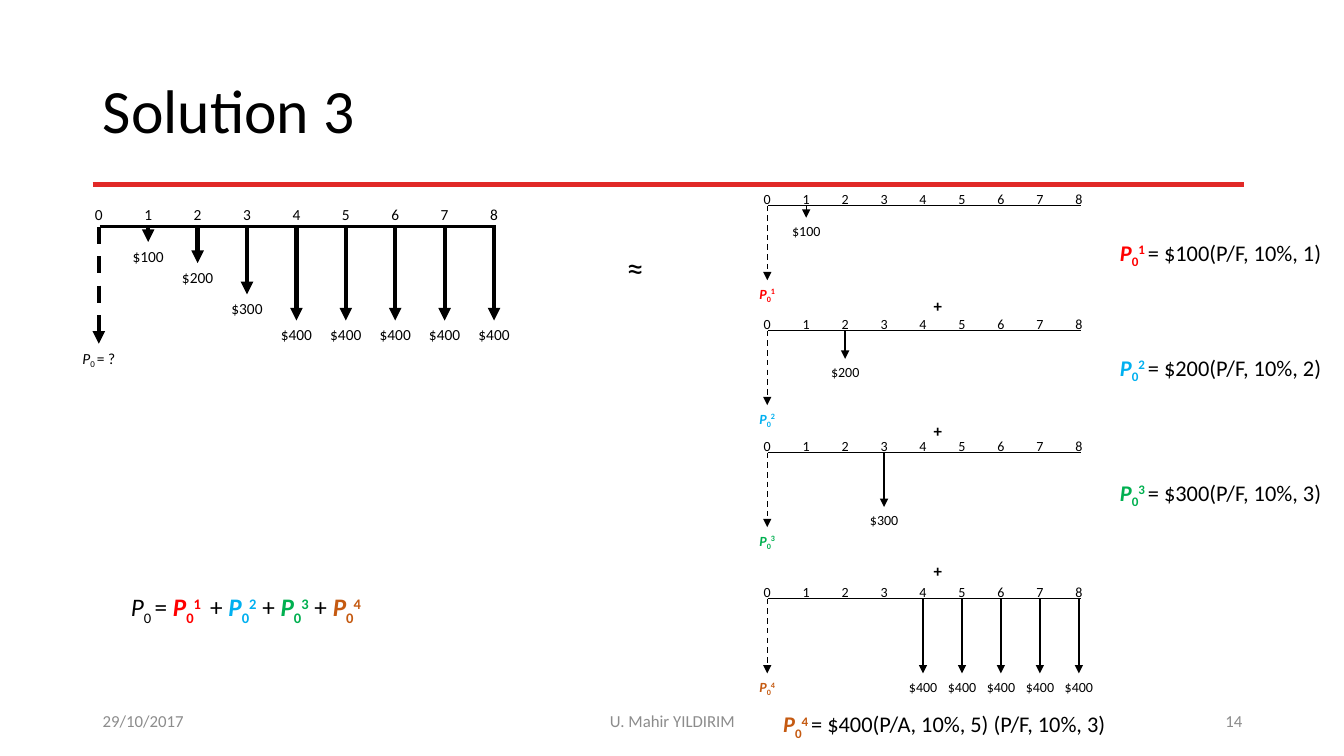
from pptx import Presentation
from pptx.dml.color import RGBColor
from pptx.enum.dml import MSO_LINE
from pptx.enum.shapes import MSO_CONNECTOR
from pptx.enum.text import MSO_ANCHOR, MSO_AUTO_SIZE, PP_ALIGN
from pptx.oxml.ns import qn
from pptx.util import Inches, Pt
from lxml.etree import SubElement
from dataclasses import dataclass

FONT = "Calibri"
BLACK = "000000"
GRAY = "8C8C8C"
RED_RULE = "E12927"
PART_COLORS = ["FF0000", "00B0F0", "00B050", "C55A11"]
PERIODS = 8


@dataclass
class DiagramStyle:
    left: float
    step: float
    text_size: int
    line_width: float
    axis_width: float
    digit_rise: float
    digit_width: float
    digit_height: float
    amount_width: float
    present_width: float
    present_drop: float


MAIN_STYLE = DiagramStyle(0.98, 0.49, 11, 3, 2.25, 0.26, 0.17, 0.29, 0.52, 0.77, 1.16)
PART_STYLE = DiagramStyle(7.61, 3.09 / PERIODS, 10, 1, 1, 0.2, 0.14, 0.28, 0.62, 0.91, 0.74)


def color(hex_string):
    return RGBColor.from_string(hex_string)


def add_run(paragraph, text, size, hex_color=BLACK, bold=False, italic=False, baseline=0):
    run = paragraph.add_run()
    run.text = text
    font = run.font
    font.name, font.size = FONT, Pt(size)
    font.bold, font.italic = bold, italic
    font.color.rgb = color(hex_color)
    if baseline:
        run._r.get_or_add_rPr().set("baseline", str(baseline * 1000))


def add_line(slide, start, end, width, hex_color=BLACK, arrow=False, dashed=False):
    points = [Inches(value) for value in (*start, *end)]
    connector = slide.shapes.add_connector(MSO_CONNECTOR.STRAIGHT, *points)
    connector.line.color.rgb = color(hex_color)
    connector.line.width = Pt(width)
    if dashed:
        connector.line.dash_style = MSO_LINE.DASH
    properties = connector._element.spPr
    if arrow:
        SubElement(properties.find(qn("a:ln")), qn("a:tailEnd"), type="triangle")
    SubElement(properties, qn("a:effectLst"))


def add_text(slide, box, runs, align=PP_ALIGN.LEFT, wrap=True, side_inset=0.1, middle=False):
    """Each run is a tuple of add_run arguments after the paragraph."""
    shape = slide.shapes.add_textbox(*[Inches(value) for value in box])
    frame = shape.text_frame
    frame.word_wrap = wrap
    frame.auto_size = MSO_AUTO_SIZE.NONE if middle else MSO_AUTO_SIZE.SHAPE_TO_FIT_TEXT
    frame.margin_left = frame.margin_right = Inches(side_inset)
    frame.vertical_anchor = MSO_ANCHOR.MIDDLE if middle else MSO_ANCHOR.TOP
    paragraph = frame.paragraphs[0]
    paragraph.alignment = align
    for run in runs:
        add_run(paragraph, *run)


def add_centered(slide, center, top, width, height, runs):
    box = (center - width / 2, top, width, height)
    add_text(slide, box, runs, PP_ALIGN.CENTER, side_inset=0)


def part_symbol(number, size, gap=""):
    """Present worth of one part: P with subscript 0 and its number above."""
    hex_color = PART_COLORS[number - 1]
    return [
        ("P", size, hex_color, True, True),
        ("0", size, hex_color, True, False, -25),
        (f"{number}{gap}", size, hex_color, True, False, 30),
    ]


def total_symbol(size, ending):
    return [
        ("P", size, BLACK, False, True),
        ("0 ", size, BLACK, False, False, -25),
        (ending, size),
    ]


def add_cash_flow(slide, style, axis, flows, present_runs):
    """Flows are tuples of period, amount and arrow length."""
    left, size = style.left, style.text_size
    right = left + PERIODS * style.step + 0.02
    add_line(slide, (left + 0.01, axis), (right, axis), style.axis_width)

    # Period numbers
    for period in range(PERIODS + 1):
        add_centered(slide, left + period * style.step, axis - style.digit_rise,
                     style.digit_width, style.digit_height, [(str(period), size)])

    # Present worth
    tip = axis + style.present_drop
    add_line(slide, (left, axis), (left, tip), style.line_width, arrow=True, dashed=True)
    add_centered(slide, left, tip, style.present_width, style.digit_height, present_runs)

    # Payments
    for period, amount, length in flows:
        x, tip = left + period * style.step, axis + length
        add_line(slide, (x, axis), (x, tip), style.line_width, arrow=True)
        add_centered(slide, x, tip, style.amount_width, style.digit_height,
                     [(f"${amount}", size)])


def add_title(slide, text):
    title = slide.shapes.title
    title.left, title.top = Inches(0.92), Inches(0.4)
    title.width, title.height = Inches(11.5), Inches(1.45)
    frame = title.text_frame
    frame.vertical_anchor = MSO_ANCHOR.MIDDLE
    frame.auto_size = MSO_AUTO_SIZE.NONE
    paragraph = frame.paragraphs[0]
    paragraph.alignment = PP_ALIGN.LEFT
    paragraph.line_spacing = 0.9
    add_run(paragraph, text, 44)


def add_footer(slide):
    for left, width, text, align in [
        (0.92, 3, "29/10/2017", PP_ALIGN.LEFT),
        (4.42, 4.5, "U. Mahir YILDIRIM", PP_ALIGN.CENTER),
        (9.42, 3, "14", PP_ALIGN.RIGHT),
    ]:
        add_text(slide, (left, 6.95, width, 0.4), [(text, 12, GRAY)], align, middle=True)


def main():
    presentation = Presentation()
    presentation.slide_width, presentation.slide_height = Inches(13.33), Inches(7.5)
    slide = presentation.slides.add_slide(presentation.slide_layouts[5])

    # Heading and footer
    add_line(slide, (0.92, 1.83), (12.34, 1.83), 3, RED_RULE)
    add_title(slide, "Solution 3")
    add_footer(slide)

    # Whole cash flow
    main_flows = [(1, 100, 0.15), (2, 200, 0.36), (3, 300, 0.67)]
    main_flows += [(period, 400, 0.93) for period in range(4, 9)]
    add_cash_flow(slide, MAIN_STYLE, 2.25, main_flows, total_symbol(11, "= ?"))
    add_text(slide, (6.12, 2.4, 0.37, 0.5), [("≈", 24)], wrap=False)

    # Cash flow split into four parts
    parts = [
        (2.04, [(1, 100, 0.12)]),
        (3.28, [(2, 200, 0.28)]),
        (4.49, [(3, 300, 0.54)]),
        (5.94, [(period, 400, 0.74) for period in range(4, 9)]),
    ]
    for number, (axis, flows) in enumerate(parts, 1):
        add_cash_flow(slide, PART_STYLE, axis, flows, part_symbol(number, 10))
    for top in (2.88, 4.12, 5.51):
        add_centered(slide, 9.3, top, 0.62, 0.3, [("+", 12, BLACK, True)])

    # Formulas of the parts
    formulas = [
        (11.01, 2.32, 2.25, "= $100(P/F, 10%, 1)"),
        (11.01, 3.46, 2.25, "= $200(P/F, 10%, 2)"),
        (11.01, 4.7, 2.25, "= $300(P/F, 10%, 3)"),
        (7.67, 7, 3.47, "= $400(P/A, 10%, 5) (P/F, 10%, 3)"),
    ]
    for number, (left, top, width, formula) in enumerate(formulas, 1):
        runs = part_symbol(number, 16, " ") + [(formula, 16)]
        add_text(slide, (left, top, width, 0.37), runs, wrap=False)

    # Sum of the parts
    sum_runs = total_symbol(18, "= ") + part_symbol(1, 18, " ")
    for number in (2, 3, 4):
        sum_runs += [(" + ", 18)] + part_symbol(number, 18)
    add_text(slide, (1.2, 5.82, 2.67, 0.4), sum_runs, wrap=False)

    presentation.save("out.pptx")


if __name__ == "__main__":
    main()
